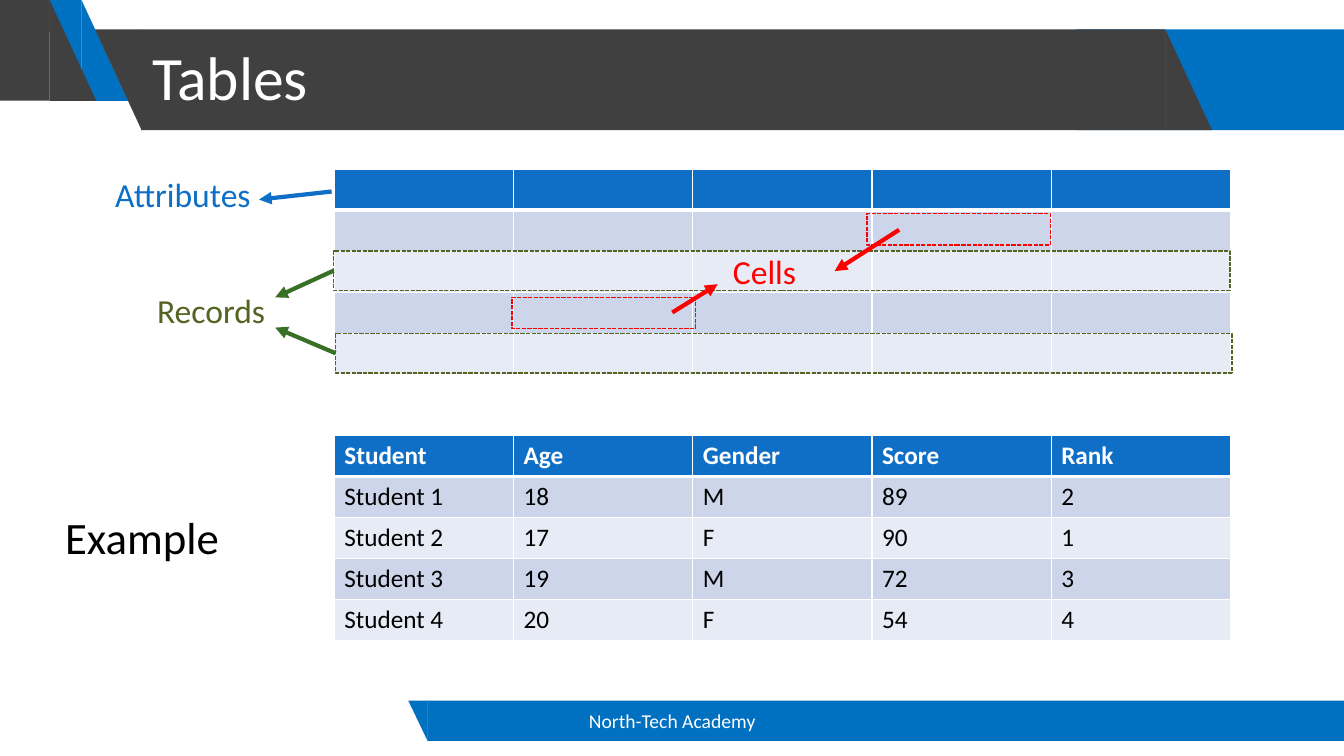
from dataclasses import dataclass

from lxml import etree
from pptx import Presentation
from pptx import util as u
from pptx.dml import color
from pptx.enum import dml, shapes, text
from pptx.oxml import ns
from pptx.shapes import autoshape, connector
from pptx.slide import Slide
from pptx.text import text as frames

GRID_COLUMNS, GRID_ROWS = 160, 90
SLIDE_WIDTH, SLIDE_HEIGHT = u.Inches(13.333), u.Inches(7.5)
RECTANGLE = shapes.MSO_SHAPE.RECTANGLE
TRIANGLE = shapes.MSO_SHAPE.RIGHT_TRIANGLE
LEFT_SIDE = 1


@dataclass(frozen=True)
class Theme:
    font: str = "Calibri"
    white: str = "FFFFFF"
    black: str = "000000"
    accent: str = "0070C0"
    dark: str = "404040"
    header: str = "0F6FC6"
    bands: tuple[str, str] = ("CCD5EA", "E7EBF5")
    record: str = "546422"
    record_arrow: str = "387026"
    cell: str = "FF0000"
    title_size: int = 44
    example_size: int = 32
    label_size: int = 24
    table_size: int = 18
    footer_size: int = 14
    thin: int = 1
    thick: int = 3


THEME = Theme()


@dataclass(frozen=True)
class Box:
    column: float
    row: float
    columns: float
    rows: float

    def place(self) -> tuple[int, int, int, int]:
        return (across(self.column), down(self.row), across(self.columns), down(self.rows))


@dataclass(frozen=True)
class Band:
    box: Box
    fill: str
    preset: shapes.MSO_SHAPE = RECTANGLE
    rotation: int = 0


@dataclass(frozen=True)
class Label:
    words: str
    box: Box
    color: str
    size: int = THEME.label_size
    anchor: text.MSO_ANCHOR = text.MSO_ANCHOR.TOP


@dataclass(frozen=True)
class Arrow:
    start: tuple[float, float]
    end: tuple[float, float]
    color: str


@dataclass(frozen=True)
class Record:
    outline: Box
    arrow_end: tuple[float, float]


def across(columns: float) -> int:
    return round(SLIDE_WIDTH * columns / GRID_COLUMNS)


def down(rows: float) -> int:
    return round(SLIDE_HEIGHT * rows / GRID_ROWS)


def rgb(value: str) -> color.RGBColor:
    return color.RGBColor.from_string(value)


def write(frame: frames.TextFrame, words: str, *, size: int, fill: str, bold: bool = False,
          align: text.PP_ALIGN = text.PP_ALIGN.LEFT, spacing: float = 1.0,
          anchor: text.MSO_ANCHOR = text.MSO_ANCHOR.TOP) -> None:
    frame.word_wrap = True
    frame.vertical_anchor = anchor
    paragraph = frame.paragraphs[0]
    paragraph.text = words
    paragraph.alignment = align
    paragraph.line_spacing = spacing
    font = paragraph.font
    font.name, font.size, font.bold = THEME.font, u.Pt(size), bold
    font.color.rgb = rgb(fill)


def draw_band(slide: Slide, band: Band) -> None:
    shape = slide.shapes.add_shape(band.preset, *band.box.place())
    shape.shadow.inherit = False
    shape.rotation = band.rotation
    shape.fill.solid()
    shape.fill.fore_color.rgb = rgb(band.fill)
    shape.line.fill.background()


def draw_outline(slide: Slide, box: Box, line: str) -> autoshape.Shape:
    shape = slide.shapes.add_shape(RECTANGLE, *box.place())
    shape.shadow.inherit = False
    shape.fill.background()
    shape.line.color.rgb = rgb(line)
    shape.line.width = u.Pt(THEME.thin)
    shape.line.dash_style = dml.MSO_LINE.SQUARE_DOT
    return shape


def draw_label(slide: Slide, label: Label) -> None:
    shape = slide.shapes.add_textbox(*label.box.place())
    write(shape.text_frame, label.words, size=label.size, fill=label.color,
          align=text.PP_ALIGN.CENTER, anchor=label.anchor)


def draw_arrow(slide: Slide, arrow: Arrow) -> connector.Connector:
    (start_column, start_row), (end_column, end_row) = arrow.start, arrow.end
    line = slide.shapes.add_connector(
        shapes.MSO_CONNECTOR.STRAIGHT, across(start_column), down(start_row),
        across(end_column), down(end_row))
    line.line.color.rgb = rgb(arrow.color)
    line.line.width = u.Pt(THEME.thick)
    etree.SubElement(line.line._get_or_add_ln(), ns.qn("a:tailEnd"), type="triangle")
    etree.SubElement(line.element.spPr, ns.qn("a:effectLst"))
    return line


def draw_record(slide: Slide, record: Record) -> None:
    box = record.outline
    shape = draw_outline(slide, box, THEME.record)
    start = (box.column, box.row + box.rows / 2)
    line = draw_arrow(slide, Arrow(start, record.arrow_end, THEME.record_arrow))
    line.begin_connect(shape, LEFT_SIDE)


def draw_table(slide: Slide, box: Box, rows: list[list[str]]) -> None:
    table = slide.shapes.add_table(len(rows), len(rows[0]), *box.place()).table
    for row_index, values in enumerate(rows):
        is_header = row_index == 0
        fill = THEME.header if is_header else THEME.bands[(row_index - 1) % 2]
        widths = {"lnL": THEME.thin, "lnR": THEME.thin,
                  "lnT": THEME.thick if row_index == 1 else THEME.thin,
                  "lnB": THEME.thick if is_header else THEME.thin}
        for column_index, value in enumerate(values):
            cell = table.cell(row_index, column_index)
            properties = cell._tc.get_or_add_tcPr()
            for side, width in widths.items():
                border = etree.SubElement(properties, ns.qn(f"a:{side}"), w=str(u.Pt(width)))
                solid = etree.SubElement(border, ns.qn("a:solidFill"))
                etree.SubElement(solid, ns.qn("a:srgbClr"), val=THEME.white)
            cell.fill.solid()
            cell.fill.fore_color.rgb = rgb(fill)
            write(cell.text_frame, value, size=THEME.table_size, bold=is_header,
                  fill=THEME.white if is_header else THEME.black)


BANDS = [
    Band(Box(128.16, 3.5, 31.84, 12), THEME.accent),
    Band(Box(9.7, 0, 5.56, 12), THEME.accent, TRIANGLE),
    Band(Box(4.12, 0, 5.56, 12), THEME.accent, TRIANGLE, 180),
    Band(Box(0, 0, 5.9, 12), THEME.dark),
    Band(Box(5.9, 0, 5.56, 12), THEME.dark, TRIANGLE),
    Band(Box(11.3, 3.5, 5.56, 12), THEME.dark, TRIANGLE, 180),
    Band(Box(16.8, 3.5, 121.92, 12), THEME.dark),
    Band(Box(138.72, 3.5, 5.56, 12), THEME.dark, TRIANGLE),
    Band(Box(50.88, 83.4, 109.12, 4.8), THEME.accent),
    Band(Box(48.6, 83.4, 2.3, 4.8), THEME.accent, TRIANGLE, 180),
]
TITLE_BOX = Box(16.92, 0.84, 121.7, 17.4)
LABELS = [
    Label("North-Tech Academy", Box(53.04, 83.4, 54, 4.8), THEME.white,
          THEME.footer_size, text.MSO_ANCHOR.MIDDLE),
    Label("Example", Box(1.08, 60.12, 31.68, 7.68), THEME.black, THEME.example_size),
    Label("Records", Box(14.16, 33.96, 21.96, 6), THEME.record),
    Label("Attributes", Box(10.8, 20.16, 21.96, 6), THEME.header),
    Label("Cells", Box(80.04, 29.28, 21.96, 6), THEME.cell),
]
RECORDS = [
    Record(Box(39.72, 29.88, 106.7, 4.68), (32.76, 35.4)),
    Record(Box(39.96, 39.72, 106.7, 4.68), (32.76, 39)),
]
CELL_OUTLINES = [Box(60.96, 35.4, 21.84, 3.72), Box(103.2, 25.44, 21.84, 3.72)]
ARROWS = [
    Arrow((39.48, 22.8), (30.84, 23.76), THEME.header),
    Arrow((107.04, 27.36), (99.36, 32.28), THEME.cell),
    Arrow((80.04, 37.2), (85.44, 33.84), THEME.cell),
]
STUDENTS = [
    ["Student", "Age", "Gender", "Score", "Rank"],
    ["Student 1", "18", "M", "89", "2"],
    ["Student 2", "17", "F", "90", "1"],
    ["Student 3", "19", "M", "72", "3"],
    ["Student 4", "20", "F", "54", "4"],
]
BLANKS = [[""] * len(row) for row in STUDENTS]


def main() -> None:
    presentation = Presentation()
    presentation.slide_width, presentation.slide_height = SLIDE_WIDTH, SLIDE_HEIGHT
    slide = presentation.slides.add_slide(presentation.slide_layouts[5])
    for band in BANDS:
        draw_band(slide, band)
    title = slide.shapes.title
    title.left, title.top, title.width, title.height = TITLE_BOX.place()
    write(title.text_frame, "Tables", size=THEME.title_size, fill=THEME.white,
          spacing=0.9, anchor=text.MSO_ANCHOR.MIDDLE)
    slide.shapes.element.append(title.element)
    for top_row, rows in ((20.16, BLANKS), (51.84, STUDENTS)):
        draw_table(slide, Box(39.8, top_row, 106.7, 24.4), rows)
    for label in LABELS:
        draw_label(slide, label)
    for record in RECORDS:
        draw_record(slide, record)
    for outline in CELL_OUTLINES:
        draw_outline(slide, outline, THEME.cell)
    for arrow in ARROWS:
        draw_arrow(slide, arrow)
    presentation.save("out.pptx")


if __name__ == "__main__":
    main()
